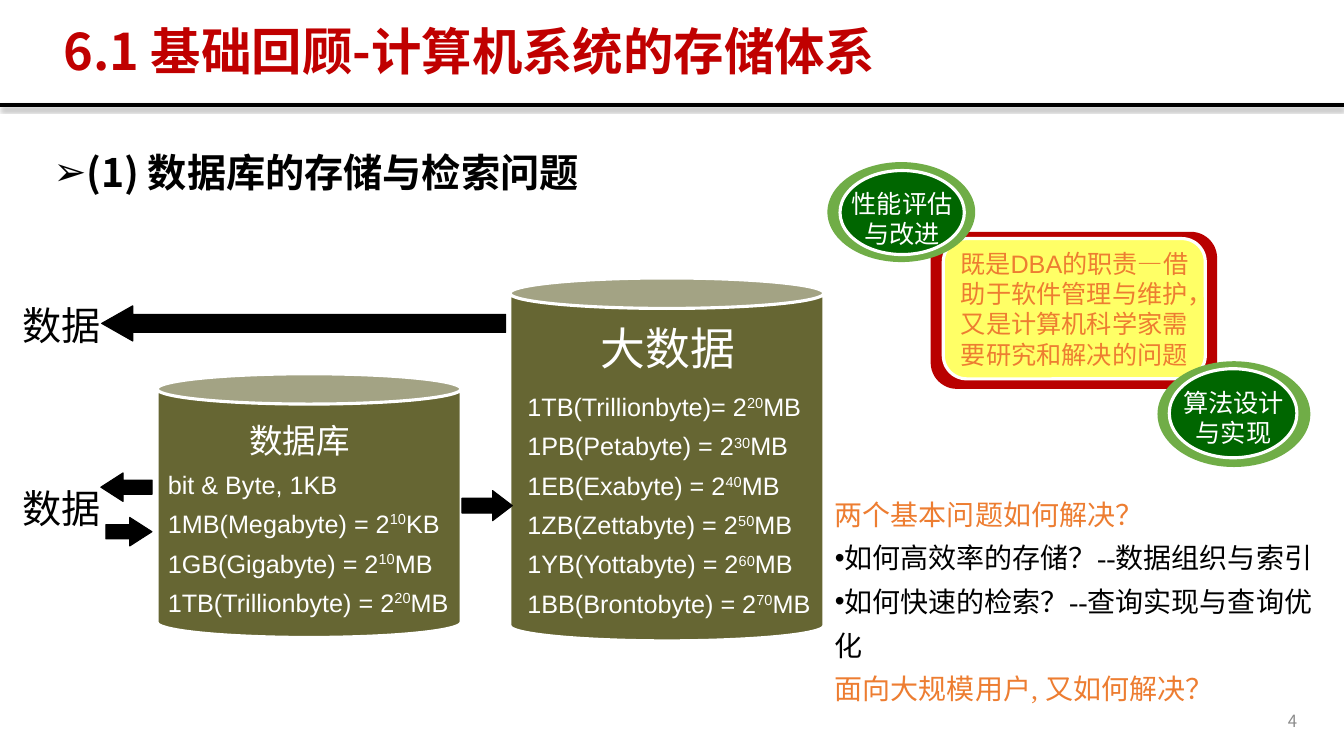
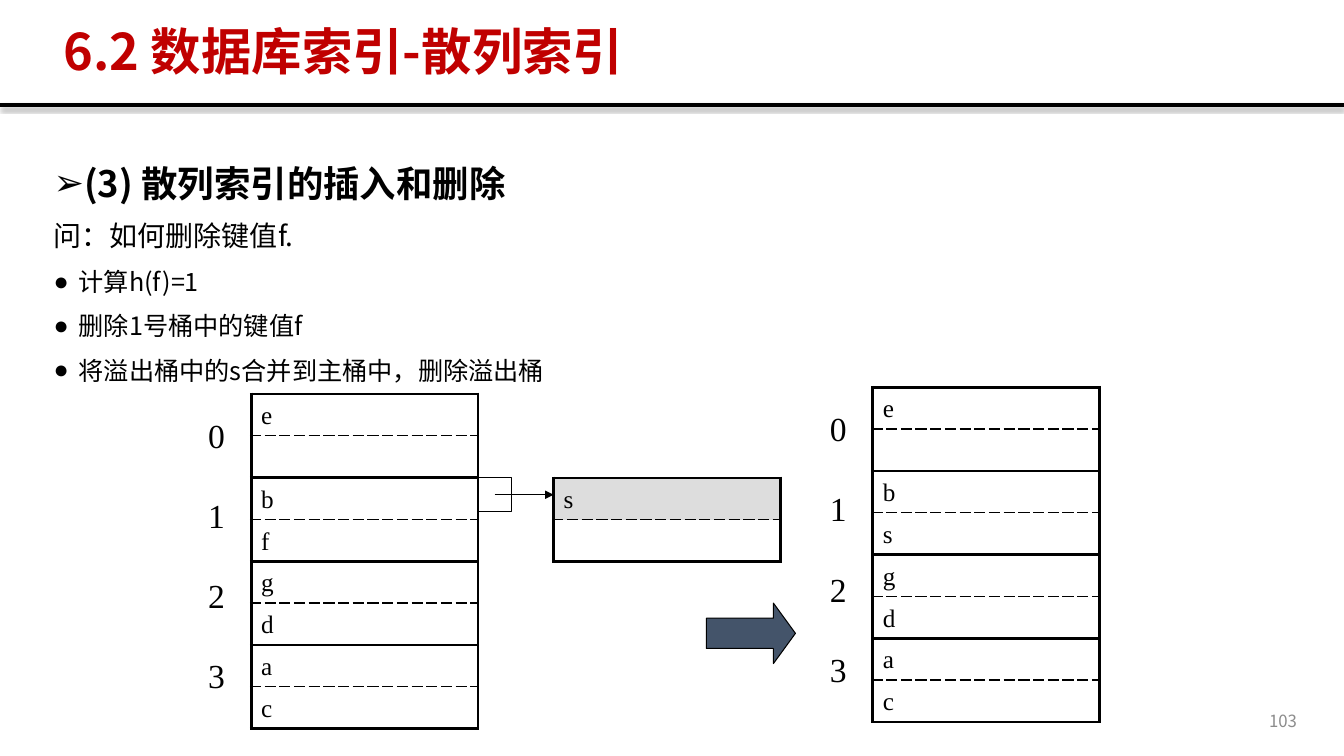
from lxml.etree import SubElement
from pptx import Presentation
from pptx.dml.color import RGBColor
from pptx.enum.shapes import MSO_CONNECTOR, MSO_SHAPE
from pptx.enum.text import MSO_ANCHOR, PP_ALIGN
from pptx.oxml import parse_xml
from pptx.oxml.ns import nsdecls, qn
from pptx.util import Inches, Pt

# Shared look: a grid of 160 columns by 90 rows, colours and fonts
COLS, ROWS = 160, 90
CELL = Inches(7.5) / ROWS
HUE = {
    "black": "000000", "white": "FFFFFF", "title": "C00000", "page": "8C8C8C",
    "olive": "666633", "orange": "ED7D31", "red": "B90000", "lemon": "FFFF66",
    "lime": "70AD47", "green": "006600", "slate": "44546A", "grey": "DDDDDD",
}
SANS, ARIAL, SERIF = "Noto Sans CJK SC", "Arial", "Times New Roman"
LEFT, MID, RIGHT = PP_ALIGN.LEFT, PP_ALIGN.CENTER, PP_ALIGN.RIGHT


def grid(*cells):
    """Turn grid cells into slide lengths."""
    return [round(n * CELL) for n in cells]


def write(frame, text, size=18, hue="black", font=SANS, bold=False, align=LEFT,
          line=1, before=0, bullet=None, hang=0, wrap=True, mid=False, lift=30):
    """Add one paragraph per line of text; ^marks^ enclose a superscript."""
    frame.word_wrap = wrap
    if mid:
        frame.vertical_anchor = MSO_ANCHOR.MIDDLE
    for row in text.split("\n"):
        para = frame.add_paragraph() if frame.text else frame.paragraphs[0]
        para.alignment = align
        para.line_spacing = Pt(round(1.2 * size * line, 1))
        para.space_before = Pt(before)
        if bullet:
            props = para._p.get_or_add_pPr()
            props.set("marL", str(Inches(hang)))
            props.set("indent", str(-Inches(hang)))
            SubElement(props, qn("a:buFont"), typeface=ARIAL)
            SubElement(props, qn("a:buChar"), char=bullet)
        for k, part in enumerate(row.split("^")):
            run = para.add_run()
            run.text = part
            run.font.size, run.font.bold = Pt(size), bold
            run.font.color.rgb = RGBColor.from_string(HUE[hue])
            run.font.name = font
            props = run._r.get_or_add_rPr()
            SubElement(props, qn("a:ea"), typeface=SANS)
            if k % 2:
                props.set("baseline", str(lift * 1000))


deck = Presentation()
deck.slide_width, deck.slide_height = grid(COLS, ROWS)

# Title, rule and page number on each slide
slides = []
for title, page in [("6.1 基础回顾-计算机系统的存储体系", "4"),
                    ("6.2 数据库索引-散列索引", "103")]:
    slide = deck.slides.add_slide(deck.slide_layouts[6])
    slides.append(slide)
    rule = slide.shapes.add_connector(MSO_CONNECTOR.STRAIGHT,
                                      *grid(0, 12.5, COLS, 12.5))
    rule.line.color.rgb = RGBColor.from_string(HUE["black"])
    rule.line.width = Pt(3)
    rule._element.spPr.append(parse_xml(
        f'<a:effectLst {nsdecls("a")}><a:outerShdw blurRad="39400" dist="22900" '
        f'dir="5400000" rotWithShape="0"><a:srgbClr val="{HUE["black"]}">'
        '<a:alpha val="35000"/></a:srgbClr></a:outerShdw></a:effectLst>'))
    box = slide.shapes.add_textbox(*grid(6.4, 2.4, 140.4, 7.8))
    write(box.text_frame, title, size=36, hue="title", bold=True, line=0.9, mid=True)
    box = slide.shapes.add_textbox(*grid(119.6, 83.4, 36, 4.8))
    write(box.text_frame, page, size=12, hue="page", align=RIGHT, mid=True)
store, hashed = slides

# Shapes: slide, kind, place, adjustments, fill, line, line width, label
CAN, OVAL, ROUND = MSO_SHAPE.CAN, MSO_SHAPE.OVAL, MSO_SHAPE.ROUNDED_RECTANGLE
EAST, WEST = MSO_SHAPE.RIGHT_ARROW, MSO_SHAPE.LEFT_ARROW
duty = "既是DBA的职责—借助于软件管理与维护，又是计算机科学家需要研究和解决的问题"
art = [
    (store, CAN, (18.7, 44.5, 36.2, 31.4), [0.115], "olive", "white", 2.25),
    (store, CAN, (60.7, 33.1, 37.4, 43.2), [0.097], "olive", "white", 2.25),
    (store, EAST, (12.6, 61.6, 5.5, 3.4), [0.5, 0.778], "black", "black", 0.75),
    (store, EAST, (55, 58.4, 6, 3.6), [0.5, 0.656], "black", "black", 0.75),
    (store, WEST, (12, 56.3, 6.1, 3.4), [0.5, 0.778], "black", "black", 0.75),
    (store, WEST, (12.1, 36.4, 48.1, 4.2), [0.513, 0.882], "black", "black", 0.75),
    (store, ROUND, (110.8, 27.6, 34.1, 18.7), [0.167], "red", None, 0),
    (store, ROUND, (112.3, 28.4, 31.2, 16.7), [0.167], "lemon", "white", 2.25, duty),
    (store, OVAL, (98.5, 19.3, 17.6, 11.9), [], "lime", None, 0),
    (store, OVAL, (100, 20.3, 14.8, 10), [], "green", "white", 2.25),
    (store, OVAL, (137.8, 43, 18.2, 12.6), [], "lime", None, 0),
    (store, OVAL, (139.2, 43.9, 15.2, 10.6), [], "green", "white", 2.25),
    (hashed, MSO_SHAPE.RECTANGLE, (56.9, 56.9, 4, 4), [], None, "black", 0.75),
    (hashed, EAST, (84.1, 71.8, 10.6, 7.2), [0.5, 0.364], "slate", "black", 0.75),
]
for slide, kind, place, turns, fill, edge, width, *label in art:
    shape = slide.shapes.add_shape(kind, *grid(*place))
    shape.shadow.inherit = False
    for k, turn in enumerate(turns):
        shape.adjustments[k] = turn
    if fill:
        shape.fill.solid()
        shape.fill.fore_color.rgb = RGBColor.from_string(HUE[fill])
    else:
        shape.fill.background()
    if edge:
        shape.line.color.rgb = RGBColor.from_string(HUE[edge])
        shape.line.width = Pt(width)
    else:
        shape.line.fill.background()
    for text in label:
        frame = shape.text_frame
        frame.margin_left = frame.margin_right = Inches(0.03)
        write(frame, text, hue="orange", font=ARIAL, align=MID, mid=True)

# Text of the storage slide
big = """1TB(Trillionbyte)= 2^20^MB
1PB(Petabyte) = 2^30^MB
1EB(Exabyte) = 2^40^MB
1ZB(Zettabyte) = 2^50^MB
1YB(Yottabyte) = 2^60^MB
1BB(Brontobyte) = 2^70^MB"""
small = """bit & Byte, 1KB
1MB(Megabyte) = 2^10^KB
1GB(Gigabyte) = 2^10^MB
1TB(Trillionbyte) = 2^20^MB"""
head = dict(bold=True, bullet="➢", hang=0.25)
name = dict(hue="white", align=MID)
units = dict(hue="white", font=ARIAL, line=1.3)
data = dict(size=28, font=SERIF, align=MID, wrap=False)
for place, text, form in [
    ((5.2, 16, 70.9, 9.2), "(1) 数据库的存储与检索问题", dict(head, size=28, line=1.2)),
    ((26.9, 49.4, 17.5, 7.2), "数据库", dict(name, size=24)),
    ((68.5, 37.6, 22.1, 9), "大数据", dict(name, size=32)),
    ((61.6, 44.9, 36.6, 29), big, units),
    ((18.8, 54.2, 37.3, 20.4), small, dict(units, lift=35)),
    ((1.4, 57.1, 11.8, 6.8), "数据", data),
    ((1.4, 35.3, 11.8, 6.8), "数据", data),
    ((100.1, 21.8, 14.6, 7.8), "性能评估与改进", name),
    ((139.3, 45.5, 15.1, 8.3), "算法设计与实现", name),
]:
    box = store.shapes.add_textbox(*grid(*place))
    write(box.text_frame, text, **form)

# The two basic questions
frame = store.shapes.add_textbox(*grid(98.2, 57.4, 61.8, 21.8)).text_frame
ask = dict(size=20, font=SERIF, line=1.3)
write(frame, "两个基本问题如何解决？", hue="orange", **ask)
write(frame, "如何高效率的存储？--数据组织与索引\n如何快速的检索？--查询实现与查询优化",
      bullet="•", **ask)
write(frame, "面向大规模用户, 又如何解决？", hue="orange", **ask)

# Text of the hash slide
frame = hashed.shapes.add_textbox(*grid(5.2, 16, 150.5, 30)).text_frame
write(frame, "(3) 散列索引的插入和删除", size=26, line=1.5, **head)
write(frame, "问：如何删除键值f.", size=20, before=10)
write(frame, "计算h(f)=1\n删除1号桶中的键值f\n将溢出桶中的s合并到主桶中，删除溢出桶",
      before=10, bullet="●", hang=0.25)

# Buckets of two rows each, split by a dashed line
WIDE, HIGH = 27, 4.98
for left, top, keys, tint, count in [(29.9, 46.9, "e bfgdac", None, 4),
                                     (65.9, 56.9, "s ", "grey", 0),
                                     (103.9, 46.1, "e bsgdac", None, 4)]:
    table = hashed.shapes.add_table(
        len(keys), 1, *grid(left, top, WIDE, HIGH * len(keys))).table
    table.first_row = table.horz_banding = False
    for k, key in enumerate(keys):
        cell = table.cell(k, 0)
        cell.vertical_anchor = MSO_ANCHOR.MIDDLE
        dashed = "lnT" if k % 2 else "lnB"
        for side in ("lnL", "lnR", "lnT", "lnB"):
            width, dash = (1, "lgDash") if side == dashed else (2.25, "solid")
            cell._tc.get_or_add_tcPr().append(parse_xml(
                f'<a:{side} {nsdecls("a")} w="{Pt(width)}"><a:solidFill>'
                f'<a:srgbClr val="{HUE["black"]}"/></a:solidFill>'
                f'<a:prstDash val="{dash}"/></a:{side}>'))
        if tint and k == 0:
            cell.fill.solid()
            cell.fill.fore_color.rgb = RGBColor.from_string(HUE[tint])
        else:
            cell.fill.background()
        if key.strip():
            write(cell.text_frame, key, font=SERIF)
    for k in range(count):
        box = hashed.shapes.add_textbox(
            *grid(left - 6.3, top + 1.9 + 9.54 * k, 4.4, 6))
        write(box.text_frame, str(k), size=24, font=SERIF, wrap=False)

# Pointer from bucket 1 to its overflow bucket
link = hashed.shapes.add_connector(MSO_CONNECTOR.STRAIGHT,
                                   *grid(58.9, 58.9, 65.9, 58.9))
link.line.color.rgb = RGBColor.from_string(HUE["black"])
link.line.width = Pt(0.75)
SubElement(link.line._get_or_add_ln(), qn("a:tailEnd"), type="triangle")
SubElement(link._element.spPr, qn("a:effectLst"))

deck.save("out.pptx")
